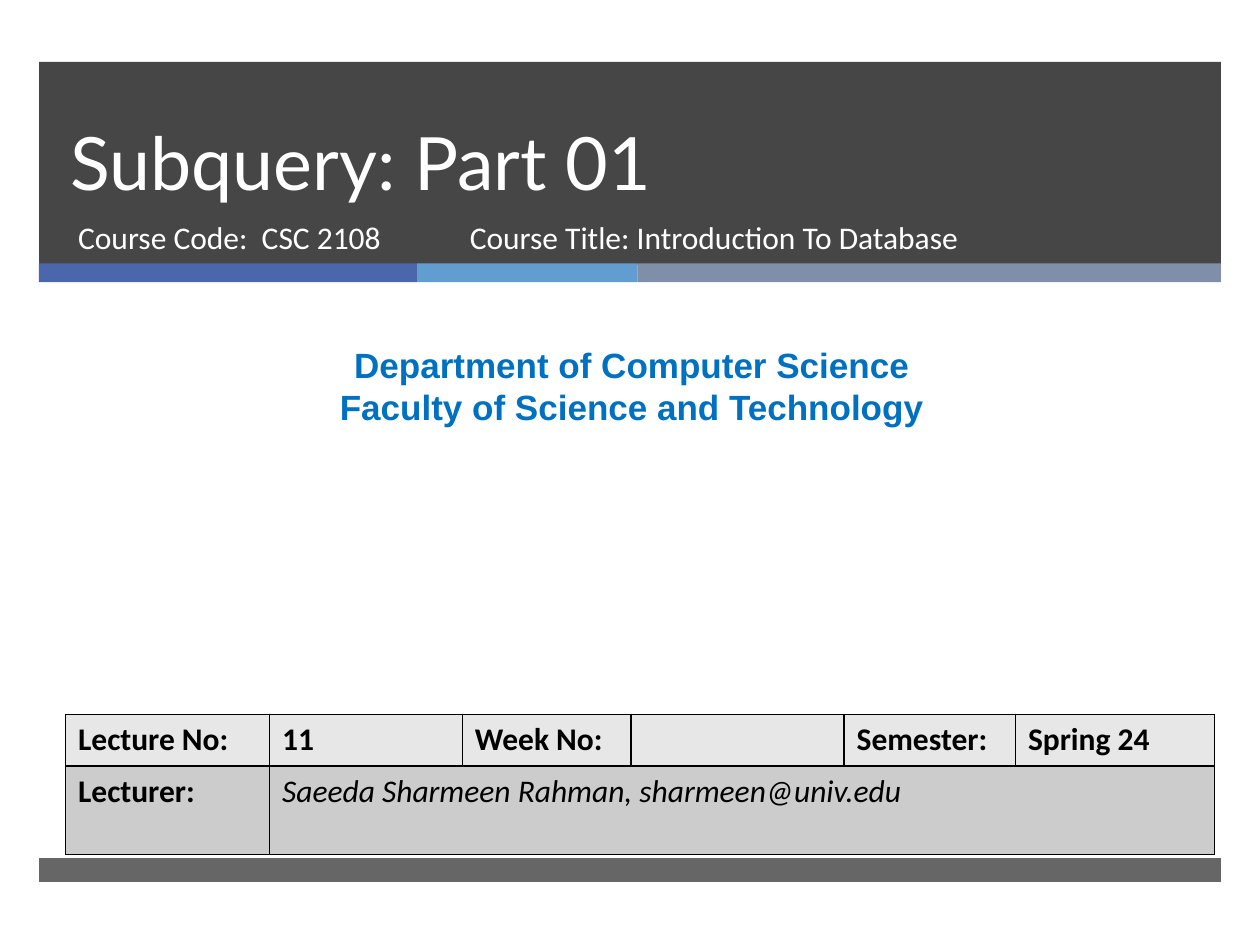
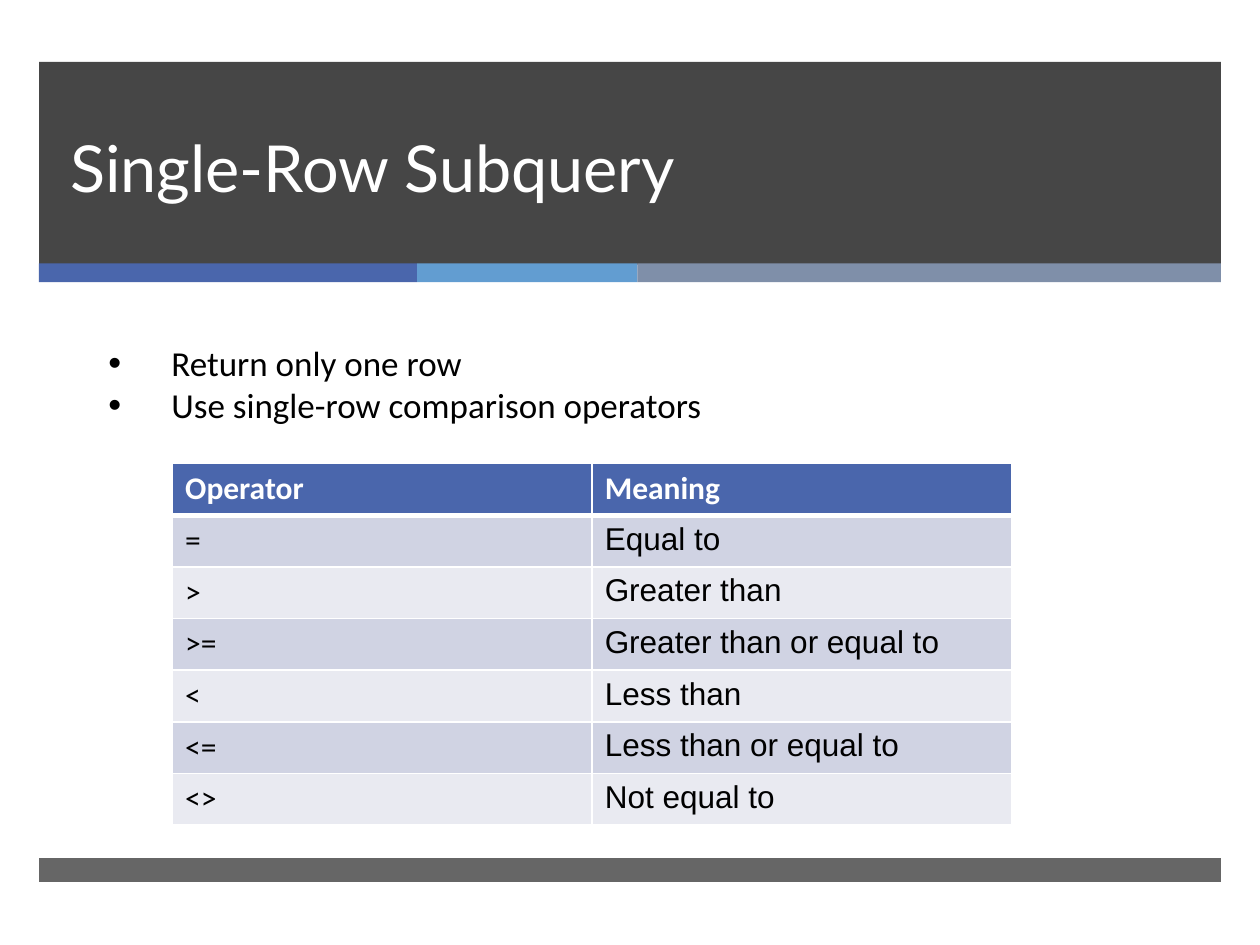
from lxml import etree
from pptx import Presentation
from pptx.dml.color import RGBColor
from pptx.enum import shapes, text
from pptx.oxml import ns
from pptx.util import Inches, Pt

HUES = {
    "dark": "262626", "blue": "4A66AC", "sky": "629DD1", "slate": "7F8FA9",
    "white": "FFFFFF", "black": "000000", "azure": "0070C0",
    "pale": "E7E7E7", "grey": "CCCCCC", "odd": "D0D3E3", "even": "E9EAF1",
}
BANDS = [
    (0.31, 0.49, 9.38, 1.61, "dark", 85),
    (0.31, 2.09, 3, 0.15, "blue", 100),
    (3.31, 2.09, 1.75, 0.15, "sky", 100),
    (5.06, 2.09, 4.63, 0.15, "slate", 100),
    (0.31, 6.81, 9.38, 0.19, "dark", 70),
]
TITLES = [("Subquery: Part 01", 42), ("Single-Row Subquery", 37)]
CODE = "Course Code:  CSC 2108"
COURSE = "Course Title: Introduction To Database"
DEPT = ["Department of Computer Science", "Faculty of Science and Technology"]
LECTURE = [
    ["Lecture No:", "11", "Week No:", "", "Semester:", "Spring 24"],
    ["Lecturer:", "Saeeda Sharmeen Rahman, sharmeen@univ.edu", "", "", "", ""],
]
POINTS = ["Return only one row", "Use single-row comparison operators"]
SIGNS = [
    ("Operator", "Meaning"),
    ("=", "Equal to"),
    (">", "Greater than"),
    (">=", "Greater than or equal to"),
    ("<", "Less than"),
    ("<=", "Less than or equal to"),
    ("<>", "Not equal to"),
]


def hue(name):
    return RGBColor.from_string(HUES[name])


def node(host, tag, **attrs):
    return etree.SubElement(host, ns.qn(tag), attrs)


def style(para, size, color="black", face="Calibri", bold=False, italic=False):
    font = para.font
    font.size, font.name, font.bold, font.italic = Pt(size), face, bold, italic
    font.color.rgb = hue(color)


def place(shape, box):
    shape.left, shape.top, shape.width, shape.height = map(Inches, box)


def write(shape, box, lines, size, align=text.PP_ALIGN.LEFT, **look):
    place(shape, box)
    frame = shape.text_frame
    frame.word_wrap = True
    frame.auto_size = text.MSO_AUTO_SIZE.NONE
    frame.vertical_anchor = text.MSO_ANCHOR.TOP
    frame.text = "\n".join(lines)
    for para in frame.paragraphs:
        para.alignment = align
        para.space_before = Pt(0)
        style(para, size, **look)
    return frame


def add_box(slide):
    return slide.shapes.add_textbox(0, 0, 0, 0)


def add_bands(slide, layout):
    tree = layout.shapes.element
    for spot, (x, y, w, h, color, alpha) in enumerate(BANDS, 2):
        band = slide.shapes.add_shape(
            shapes.MSO_SHAPE.RECTANGLE, *map(Inches, (x, y, w, h)))
        band.shadow.inherit = False
        band.line.fill.background()
        band.fill.solid()
        band.fill.fore_color.rgb = hue(color)
        if alpha < 100:
            tint = band.element.find(".//" + ns.qn("a:srgbClr"))
            node(tint, "a:alpha", val=str(alpha * 1000))
        tree.insert(spot, band.element)


def add_title(slide, title, size):
    frame = write(slide.shapes.title, (0.46, 0.49, 8.54, 1.19), [title], size,
                  color="white", face="Lato")
    frame.vertical_anchor = text.MSO_ANCHOR.BOTTOM
    frame.paragraphs[0].line_spacing = Pt(46)


def add_edges(cell, color, top=1, bottom=1):
    props = cell._tc.get_or_add_tcPr()
    for side, width in (("L", 1), ("R", 1), ("T", top), ("B", bottom)):
        line = node(props, "a:ln" + side, w=str(Pt(width)))
        node(node(line, "a:solidFill"), "a:srgbClr", val=HUES[color])


def add_grid(slide, rows, spot, widths, heights):
    size = Inches(sum(widths)), Inches(sum(heights))
    grid = slide.shapes.add_table(
        len(rows), len(widths), *map(Inches, spot), *size).table
    grid.first_row = grid.horz_banding = False
    for col, width in zip(grid.columns, widths):
        col.width = Inches(width)
    for row, height in zip(grid.rows, heights):
        row.height = Inches(height)
    for r, row in enumerate(rows):
        for c, words in enumerate(row):
            cell = grid.cell(r, c)
            cell.text = words
            yield r, c, cell


def paint(cell, color):
    cell.fill.solid()
    cell.fill.fore_color.rgb = hue(color)


def add_cover(slide):
    write(slide.placeholders[1], (0.52, 1.68, 3.05, 0.53), [CODE], 18,
          color="white")
    write(add_box(slide), (0.08, 2.68, 9.87, 0.77), DEPT, 20,
          text.PP_ALIGN.CENTER, color="azure", face="Arial", bold=True)
    widths = [1.62, 1.53, 1.34, 1.69, 1.36, 1.58]
    cells = {}
    for r, c, cell in add_grid(slide, LECTURE, (0.52, 5.67), widths, [0.41, 0.7]):
        name = r == 1 and c == 1
        style(cell.text_frame.paragraphs[0], 18, bold=not name, italic=name)
        add_edges(cell, "black")
        paint(cell, "grey" if r else "pale")
        cells[r, c] = cell
    cells[1, 1].merge(cells[1, 5])
    write(add_box(slide), (3.63, 1.68, 4.55, 0.53), [COURSE], 18, color="white")


def add_signs(slide):
    frame = write(slide.placeholders[1], (0.46, 2.66, 8.08, 1), POINTS, 20)
    for para in frame.paragraphs:
        props = para._p.get_or_add_pPr()
        props.set("marL", str(Inches(0.8)))
        props.set("indent", str(Inches(-0.5)))
        marks = [etree.Element(ns.qn("a:buSzPct"), val="105000"),
                 etree.Element(ns.qn("a:buFont"), typeface="Arial"),
                 etree.Element(ns.qn("a:buChar"), char="•")]
        base = props.find(ns.qn("a:defRPr"))
        for mark in marks:
            base.addprevious(mark)
    heights = [0.41] * len(SIGNS)
    for r, c, cell in add_grid(slide, SIGNS, (1.37, 3.68), [3.33] * 2, heights):
        head = r == 0
        style(cell.text_frame.paragraphs[0], 18, "white" if head else "black",
              "Arial" if c and not head else "Calibri", head)
        add_edges(cell, "white", 3 if r == 1 else 1, 3 if head else 1)
        paint(cell, "blue" if head else "odd" if r % 2 else "even")


def main():
    deck = Presentation()
    deck.slide_width, deck.slide_height = Inches(10), Inches(7.5)
    layout = deck.slide_layouts[0]
    for (title, size), fill in zip(TITLES, (add_cover, add_signs)):
        slide = deck.slides.add_slide(layout)
        add_title(slide, title, size)
        fill(slide)
    add_bands(slide, layout)
    deck.save("out.pptx")


if __name__ == "__main__":
    main()
